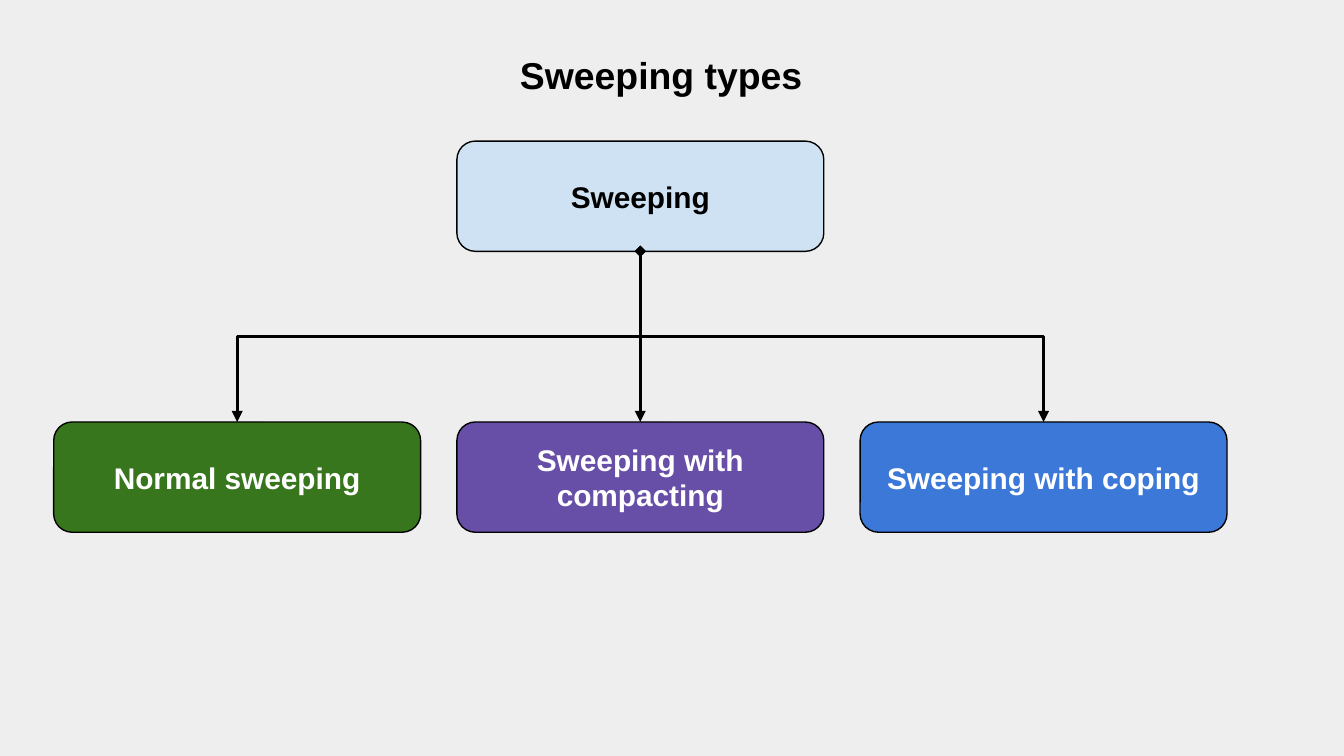
from lxml.etree import SubElement
from pptx import Presentation
from pptx.dml.color import RGBColor
from pptx.enum.shapes import MSO_CONNECTOR as CONNECTOR, MSO_SHAPE as SHAPE
from pptx.enum.text import MSO_ANCHOR as ANCHOR, PP_ALIGN as ALIGN
from pptx.oxml.ns import qn
from pptx.util import Inches, Pt

BLACK, WHITE = "000000", "FFFFFF"
NODE_W, NODE_H, COLUMN_STEP = 2.73, 0.82, 3
CHILD_TOP = 2.09
CHILDREN = [
    ("Normal sweeping", "38761D"),
    ("Sweeping with compacting", "674EA7"),
    ("Sweeping with coping", "3C78D8"),
]


def color(hex_value):
    return RGBColor.from_string(hex_value)


def write(shape, text, size, text_color, anchor):
    frame = shape.text_frame
    frame.word_wrap = True
    frame.vertical_anchor = anchor
    frame.margin_left = frame.margin_right = Inches(0.1)
    frame.margin_top = frame.margin_bottom = Inches(0.1)
    paragraph = frame.paragraphs[0]
    paragraph.alignment = ALIGN.CENTER
    run = paragraph.add_run()
    run.text = text
    run.font.name = "Arial"
    run.font.size = Pt(size)
    run.font.bold = True
    run.font.color.rgb = color(text_color)


def add_title(slide, left, top, width, height):
    title = slide.shapes.add_textbox(*map(Inches, (left, top, width, height)))
    write(title, "Sweeping types", 20, BLACK, ANCHOR.TOP)


def add_node(slide, left, top, text, fill, text_color):
    node = slide.shapes.add_shape(
        SHAPE.ROUNDED_RECTANGLE, *map(Inches, (left, top, NODE_W, NODE_H)))
    node.adjustments[0] = 0.167
    node.shadow.inherit = False
    node.fill.solid()
    node.fill.fore_color.rgb = color(fill)
    node.line.color.rgb = color(BLACK)
    node.line.width = Pt(0.75)
    write(node, text, 16, text_color, ANCHOR.MIDDLE)


def add_branch(slide, x1, y1, x2, y2):
    """Elbow arrow that leaves downwards: a sideways elbow turned a quarter."""
    drop, spread = y2 - y1, abs(x2 - x1)
    mid_x, mid_y = (x1 + x2) / 2, (y1 + y2) / 2
    goes_left = x2 < x1
    half = drop / 2 if goes_left else -drop / 2
    branch = slide.shapes.add_connector(
        CONNECTOR.ELBOW,
        Inches(mid_x - half), Inches(mid_y - spread / 2),
        Inches(mid_x + half), Inches(mid_y + spread / 2))
    branch.line.color.rgb = color(BLACK)
    branch.line.width = Pt(1.5)
    properties = branch._element.spPr
    properties.find(qn("a:xfrm")).set("rot", str((90 if goes_left else 270) * 60000))
    outline = properties.find(qn("a:ln"))
    SubElement(outline, qn("a:headEnd"), type="diamond")
    SubElement(outline, qn("a:tailEnd"), type="triangle")
    SubElement(properties, qn("a:effectLst"))


def add_tree(slide, left, top):
    root_left = left + COLUMN_STEP
    add_node(slide, root_left, top, "Sweeping", "CFE2F3", BLACK)
    child_top = top + CHILD_TOP
    for column, (text, fill) in enumerate(CHILDREN):
        child_left = left + column * COLUMN_STEP
        add_node(slide, child_left, child_top, text, fill, WHITE)
        add_branch(slide, root_left + NODE_W / 2, top + NODE_H,
                   child_left + NODE_W / 2, child_top)


def main():
    deck = Presentation()
    deck.slide_width = Inches(10)
    deck.slide_height = Inches(10 * 9 / 16)
    slide = deck.slides.add_slide(deck.slide_layouts[6])
    slide.background.fill.solid()
    slide.background.fill.fore_color.rgb = color("EEEEEE")
    add_title(slide, 0.26, 0.29, 9.32, 0.63)
    add_tree(slide, 0.4, 1.05)
    deck.save("out.pptx")


if __name__ == "__main__":
    main()
